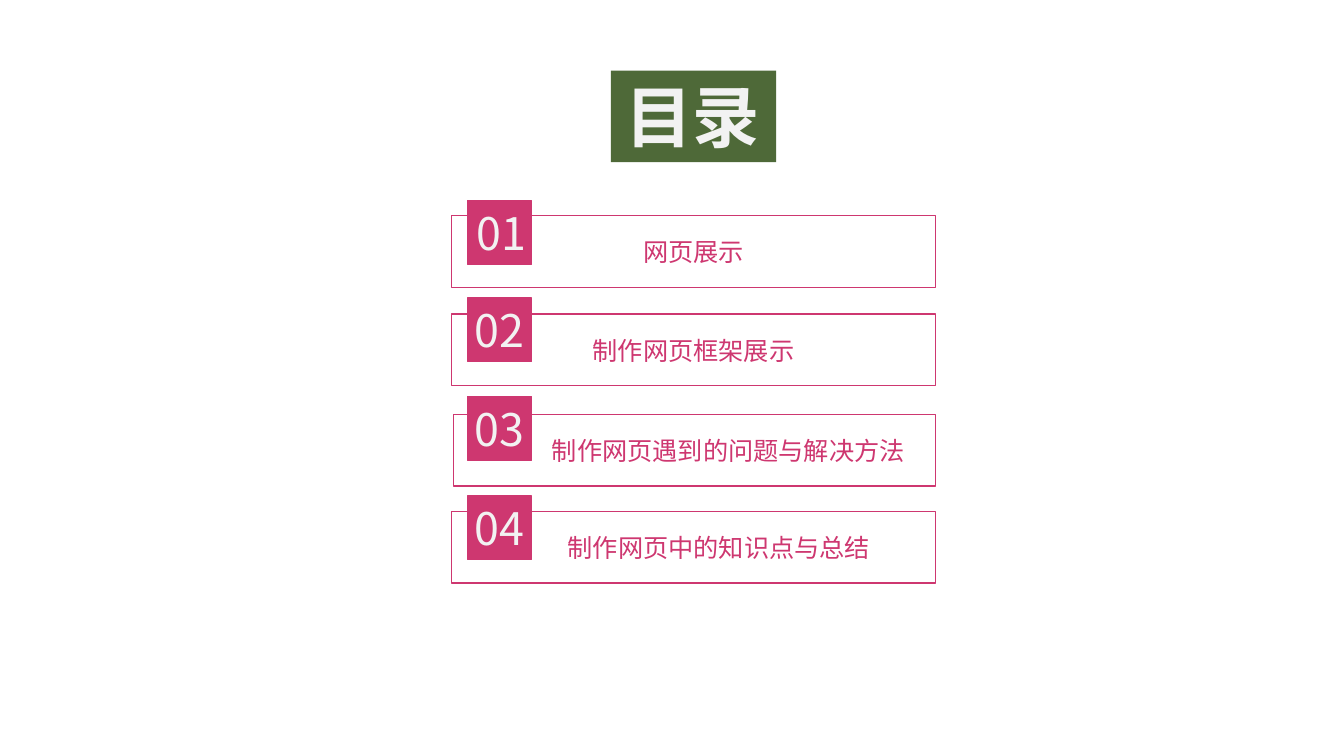
"""Build the contents slide: a title block and four numbered entries."""
from lxml import etree
from pptx import Presentation
from pptx import util as u
from pptx.dml import color
from pptx.enum import shapes, text
from pptx.oxml import ns

TITLE = "目录"
# label, frame left, frame top, badge top, number left, extra left inset
ITEMS = [
    ("网页展示", 322.6, 154.1, 143.3, 298.8, 0),
    ("制作网页框架展示", 322.6, 224.4, 212.8, 297.4, 0),
    ("制作网页遇到的问题与解决方法", 324, 295.9, 283.2, 297.4, 48),
    ("制作网页中的知识点与总结", 322.6, 365.2, 354.2, 297.4, 36),
]
PINK, GREEN, PALE = "CE3770", "3F5D28", "F2F2F2"
HAN = "Noto Sans CJK SC"
RIGHT, HIGH = 668.2, 51.2
BADGE, BADGE_X = 45.6, 334.1
NUM_W, NUM_H = 118.8, 46

deck = Presentation()
deck.slide_width, deck.slide_height = u.Pt(960), u.Pt(540)
slide = deck.slides.add_slide(deck.slide_layouts[6])


def paint(part, code):
    part.rgb = color.RGBColor.from_string(code)


def rect(x, y, w, h, fill=None, line=None):
    box = slide.shapes.add_shape(
        shapes.MSO_SHAPE.RECTANGLE, u.Pt(x), u.Pt(y), u.Pt(w), u.Pt(h))
    box.shadow.inherit = False
    if fill:
        box.fill.solid()
        paint(box.fill.fore_color, fill)
    else:
        box.fill.background()
    if line:
        paint(box.line.color, line)
        box.line.width = u.Pt(1)
    else:
        box.line.fill.background()
    return box


def write(box, words, size, tint, face, bold=False):
    frame = box.text_frame
    frame.text = words
    frame.word_wrap = True
    para = frame.paragraphs[0]
    para.alignment = text.PP_ALIGN.CENTER
    font = para.runs[0].font
    font.size, font.name, font.bold = u.Pt(size), face, bold
    paint(font.color, tint)
    props = para.runs[0]._r.get_or_add_rPr()
    etree.SubElement(props, ns.qn("a:ea")).set("typeface", HAN)
    return frame


def label(x, y, w, h, words, size, bold=False):
    box = slide.shapes.add_textbox(u.Pt(x), u.Pt(y), u.Pt(w), u.Pt(h))
    write(box, words, size, PALE, HAN, bold)


block = rect(436.3, 50.4, 118.1, 65.5, GREEN)
shade = block.fill._xPr.find(".//" + ns.qn("a:srgbClr"))
etree.SubElement(shade, ns.qn("a:alpha")).set("val", "92000")
label(435.6, 50.4, 118.8, 65.5, TITLE, 48, True)

for num, (words, left, top, badge, num_x, inset) in enumerate(ITEMS, 1):
    entry = rect(left, top, RIGHT - left, HIGH, line=PINK)
    frame = write(entry, words, 18, PINK, "Arial")
    frame.vertical_anchor = text.MSO_ANCHOR.MIDDLE
    frame.margin_left = u.Pt(7.2 + inset)
    rect(BADGE_X, badge, BADGE, BADGE, PINK, PINK)
    label(num_x, badge, NUM_W, NUM_H, f"{num:02}", 32)

deck.save("out.pptx")
